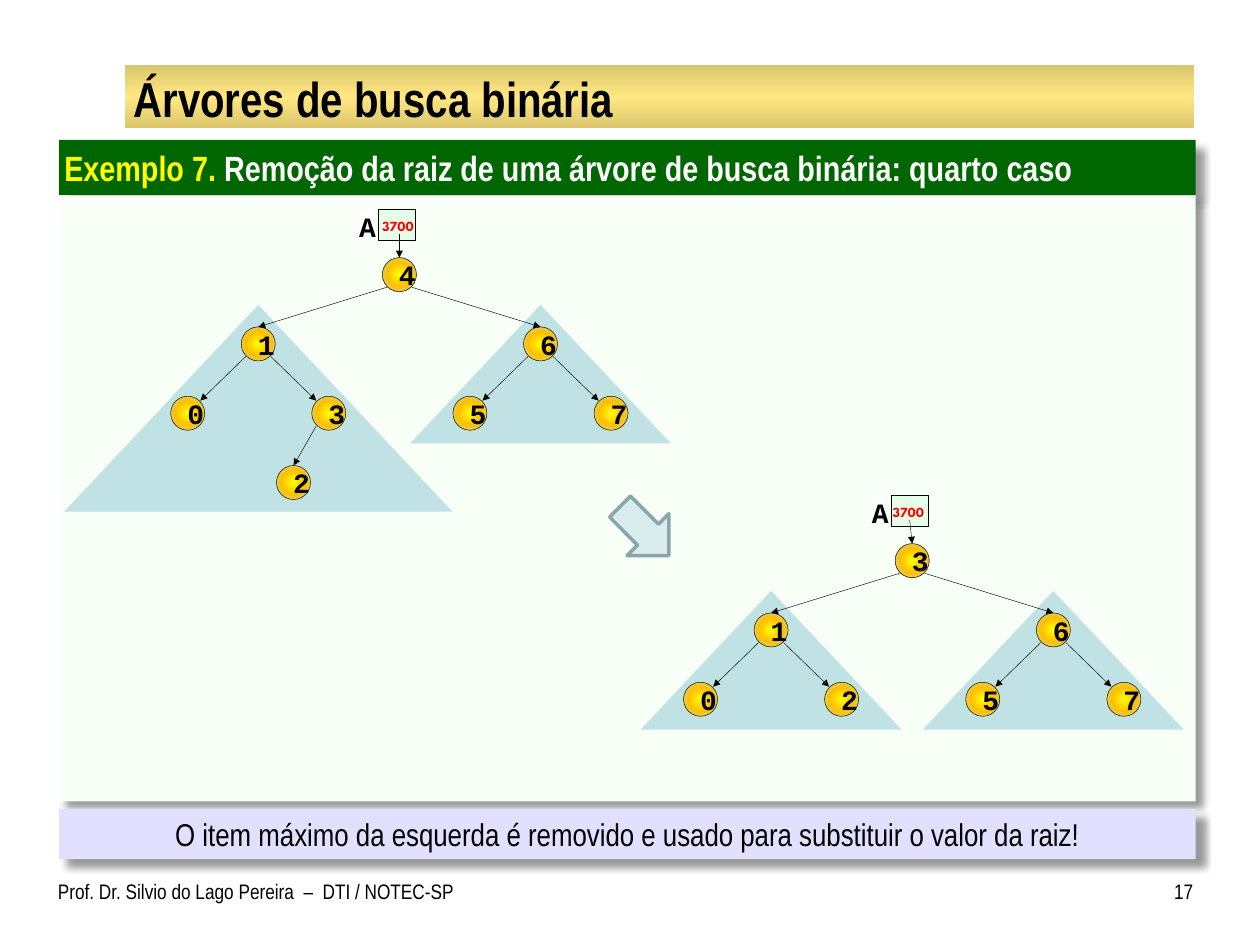
from pptx import Presentation
from pptx.dml.color import RGBColor
from pptx.enum.shapes import MSO_CONNECTOR, MSO_SHAPE
from pptx.enum.text import MSO_ANCHOR, MSO_AUTO_SIZE, PP_ALIGN
from pptx.oxml import parse_xml
from pptx.oxml.ns import nsdecls, qn
from pptx.util import Inches, Pt

RECT, OVAL = MSO_SHAPE.RECTANGLE, MSO_SHAPE.OVAL
CONE, ARROW = MSO_SHAPE.ISOSCELES_TRIANGLE, MSO_SHAPE.RIGHT_ARROW
LINE = MSO_CONNECTOR.STRAIGHT
TOP, MID = MSO_ANCHOR.TOP, MSO_ANCHOR.MIDDLE
LEFT, CENTER, RIGHT = PP_ALIGN.LEFT, PP_ALIGN.CENTER, PP_ALIGN.RIGHT
FIT, FIXED = MSO_AUTO_SIZE.SHAPE_TO_FIT_TEXT, MSO_AUTO_SIZE.NONE

BLACK = RGBColor(0x00, 0x00, 0x00)
WHITE = RGBColor(0xFF, 0xFF, 0xFF)
YELLOW = RGBColor(0xFF, 0xFF, 0x00)
AMBER = RGBColor(0xFF, 0xC0, 0x00)
RED = RGBColor(0xFF, 0x00, 0x00)
GREEN = RGBColor(0x00, 0x66, 0x00)
MINT = RGBColor(0xF7, 0xFF, 0xF7)
CELL = RGBColor(0xE6, 0xFE, 0xE9)
LILAC = RGBColor(0xE1, 0xE1, 0xFF)
GOLD = RGBColor(0xDA, 0xC6, 0x6E)
SHINE = RGBColor(0xFF, 0xE7, 0x81)
TEAL = RGBColor(0xBB, 0xE0, 0xE3)
AQUA = RGBColor(0xB8, 0xE3, 0xE6)
PALE = RGBColor(0xD9, 0xED, 0xEF)
SLATE = RGBColor(0x8A, 0xA6, 0xA8)

SANS, MONO, SMALL = "Arial Narrow", "Courier New", "League Spartan"
NODE = 0.27             # node diameter
STEP_X, STEP_Y = 0.56, 0.55
RIM = 0.1               # offset of a diagonal edge from a node centre

LINEAR = '<a:lin %s ang="5400000" scaled="1"/>'
RADIAL = ('<a:path %s path="circle">'
          '<a:fillToRect l="50000" t="50000" r="50000" b="50000"/></a:path>')
SHADOW = ('<a:outerShdw %s blurRad="50800" dist="76200" dir="2700000" algn="tl" '
          'rotWithShape="0"><a:srgbClr val="000000"><a:alpha val="40000"/>'
          '</a:srgbClr></a:outerShdw>')
HEAD = '<a:tailEnd %s type="triangle" w="sm" len="sm"/>'
PLAIN = '<a:effectLst %s/>'


def xml(text):
    return parse_xml(text % nsdecls("a"))


def write(shape, *runs, font=SANS, size=12, bold=False, align=LEFT, anchor=TOP,
          pad=(0.1, 0.05, 0.1, 0.05), wrap=True, fit=FIXED, after=0):
    """Fill a shape with one paragraph of (text, colour) runs."""
    frame = shape.text_frame
    frame.word_wrap, frame.auto_size = wrap, fit
    frame.vertical_anchor = anchor
    (frame.margin_left, frame.margin_top,
     frame.margin_right, frame.margin_bottom) = map(Inches, pad)
    para = frame.paragraphs[0]
    para.alignment, para.space_after = align, Pt(after)
    for text, color in runs:
        run = para.add_run()
        run.text = text
        run.font.name, run.font.size, run.font.bold = font, Pt(size), bold
        run.font.color.rgb = color


class Deck:
    def __init__(self):
        self.prs = Presentation()
        self.prs.slide_width, self.prs.slide_height = Inches(10), Inches(7.5)
        self.slide = self.prs.slides.add_slide(self.prs.slide_layouts[5])
        self.home()

    def home(self):
        self.shapes = self.slide.shapes

    def group(self):
        """Send the next elements to a new group, until home()."""
        self.shapes = self.slide.shapes.add_group_shape().shapes

    def shape(self, kind, x, y, w, h, fill=None, line=None, width=0.25,
              shadow=False):
        item = self.shapes.add_shape(kind, *map(Inches, (x, y, w, h)))
        item.shadow.inherit = False
        if shadow:
            item.element.spPr.find(qn("a:effectLst")).append(xml(SHADOW))
        if fill is None:
            item.fill.background()
        else:
            item.fill.solid()
            item.fill.fore_color.rgb = fill
        if line is None:
            item.line.fill.background()
        else:
            item.line.color.rgb, item.line.width = line, Pt(width)
        return item

    def blend(self, item, colors, path):
        """Give a shape a gradient of three even stops."""
        item.fill.gradient()
        grad = item.element.spPr.find(qn("a:gradFill"))
        for child in list(grad):
            grad.remove(child)
        stops = "".join(f'<a:gs pos="{50000 * i}"><a:srgbClr val="{color}"/></a:gs>'
                        for i, color in enumerate(colors))
        grad.append(xml("<a:gsLst %s>" + stops + "</a:gsLst>"))
        grad.append(xml(path))

    def title(self, text, x, y, w, h):
        item = self.slide.shapes.title
        item.left, item.top, item.width, item.height = map(Inches, (x, y, w, h))
        write(item, (text, BLACK), size=28, bold=True, anchor=MID,
              pad=(0.06, 0.01, 0.06, 0.01))
        self.slide.shapes.element.append(item.element)  # in front of its bar

    def note(self, text, x, y, w, h, **form):
        item = self.shapes.add_textbox(*map(Inches, (x, y, w, h)))
        write(item, (text, BLACK), **form)

    def arrow(self, x1, y1, x2, y2):
        item = self.shapes.add_connector(LINE, *map(Inches, (x1, y1, x2, y2)))
        item.line.color.rgb, item.line.width = BLACK, Pt(0.25)
        item.element.spPr.find(qn("a:ln")).append(xml(HEAD))
        item.element.spPr.append(xml(PLAIN))

    def node(self, text, x, y):
        item = self.shape(OVAL, x - NODE / 2, y - NODE / 2, NODE, NODE, line=BLACK)
        self.blend(item, (YELLOW, AMBER, AQUA), RADIAL)
        write(item, (text, BLACK), font=MONO, size=16, bold=True, align=CENTER,
              anchor=MID)

    def edge(self, start, end):
        (x1, y1), (x2, y2) = start, end
        side = RIM if x2 > x1 else -RIM
        near = abs(abs(x2 - x1) - STEP_X) < 0.01
        tip = (x2 - side, y2 - RIM) if near else (x2, y2 - NODE / 2)
        self.arrow(x1 + side, y1 + RIM, *tip)

    def root(self, x, y, shift):
        """Draw the variable A and its pointer to the root node."""
        form = dict(bold=True, align=CENTER, wrap=False, pad=(0, 0, 0, 0))
        name = self.shape(RECT, x - 0.32, y - 0.52, 0.09, 0.18, WHITE)
        write(name, ("A", BLACK), font=MONO, size=16, fit=FIT, after=10, **form)
        self.shape(RECT, x - 0.17, y - 0.52, 0.3, 0.25, CELL, BLACK)
        mid, top = x + shift, y - 0.45
        value = self.shape(RECT, mid - 0.18, top, 0.34, 0.13)
        write(value, ("3700", RED), font=SMALL, size=8, **form)
        self.arrow(mid, top + 0.13, x, y - NODE / 2)

    def tree(self, x, y, nodes, edges, cones, shift=0):
        """Draw a tree; nodes map a key to its (column, level) from the root."""
        spots = {key: (x + col * STEP_X, y + row * STEP_Y)
                 for key, (col, row) in nodes.items()}
        self.group()
        for key, w, h in cones:
            mid, top = spots[key]
            cone = self.shape(CONE, mid - w / 2, top - 0.31, w, h, TEAL)
            tone = cone.element.spPr.find(qn("a:solidFill"))[0]
            tone.append(xml('<a:alpha %s val="91000"/>'))
        self.root(x, y, shift)
        for key, spot in spots.items():
            self.node(key, *spot)
        for start, end in edges:
            self.edge(spots[start], spots[end])
        self.home()


def main():
    deck = Deck()
    bar = deck.shape(RECT, 0.99, 0.52, 8.49, 0.5)
    deck.blend(bar, (GOLD, SHINE, GOLD), LINEAR)

    deck.group()
    head = deck.shape(RECT, 0.47, 1.11, 9.02, 0.44, GREEN, shadow=True)
    write(head, ("Exemplo 7.", YELLOW),
          (" Remoção da raiz de uma árvore de busca binária: quarto caso", WHITE),
          size=20, bold=True, pad=(0.04, 0.05, 0.1, 0.05), fit=FIT)
    deck.shape(RECT, 0.47, 1.55, 9.02, 4.81, MINT, shadow=True)
    deck.home()

    foot = deck.shape(RECT, 0.47, 6.42, 9.02, 0.4, LILAC, shadow=True)
    write(foot, ("O item máximo da esquerda é removido e usado para substituir "
                 "o valor da raiz!", BLACK),
          size=18, align=CENTER, pad=(0.04, 0.05, 0.04, 0.05), fit=FIT)
    deck.title("Árvores de busca binária", 1, 0.54, 8.47, 0.47)
    deck.note("Prof. Dr. Silvio do Lago Pereira  –  DTI / NOTEC-SP",
              0.46, 6.92, 3.27, 0.42, pad=(0, 0.05, 0.1, 0.05))
    deck.note("17", 9.08, 6.92, 0.39, 0.42, align=RIGHT, pad=(0.1, 0.05, 0, 0.05))

    sides = {"1": (-2, 1), "6": (2, 1), "0": (-3, 2), "5": (1, 2), "7": (3, 2)}
    links = ["10", "65", "67"]
    deck.tree(3.17, 2.18,
              {"4": (0, 0), **sides, "3": (-1, 2), "2": (-1.5, 3)},
              ["41", "46", "13", "32", *links],
              [("1", 3.08, 1.64), ("6", 2.07, 1.1)])
    deck.tree(7.24, 4.45, {"3": (0, 0), **sides, "2": (-1, 2)},
              ["31", "36", "12", *links],
              [("1", 2.07, 1.1), ("6", 2.07, 1.1)], shift=-0.02)

    turn = deck.shape(ARROW, 4.84, 3.98, 0.55, 0.47, PALE, SLATE, 2)
    turn.rotation = 45
    deck.prs.save("out.pptx")


if __name__ == "__main__":
    main()
